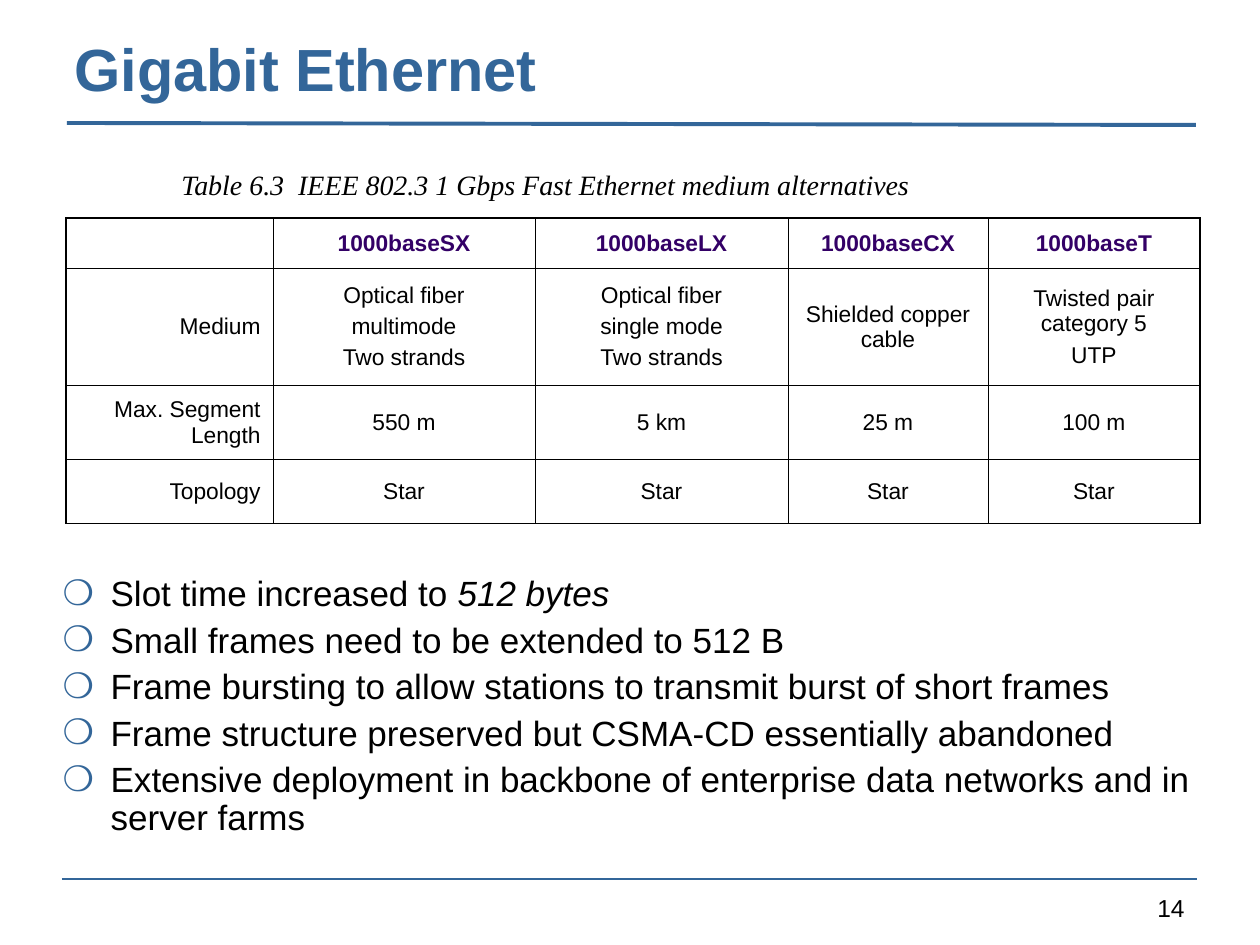
from dataclasses import dataclass

from lxml import etree
from pptx import Presentation
from pptx import util as u
from pptx.dml.color import RGBColor
from pptx.enum import shapes, text
from pptx.oxml import ns


@dataclass(frozen=True)
class Theme:
    sans: str = "Arial"
    serif: str = "Times New Roman"
    accent: str = "336699"
    heading: str = "330066"
    ink: str = "000000"
    title_size: int = 34
    body_size: int = 20
    caption_size: int = 16
    number_size: int = 14
    table_size: int = 13
    outer_border: float = 1.08
    inner_border: float = 0.45


THEME = Theme()
ALIGN = text.PP_ALIGN
ANCHOR = text.MSO_ANCHOR

COLUMNS = [207, 262, 253, 200, 212]
ROWS = [44, 117, 74, 64]
CELLS = [
    [[], ["1000baseSX"], ["1000baseLX"], ["1000baseCX"], ["1000baseT"]],
    [
        ["Medium"],
        ["Optical fiber", "multimode", "Two strands"],
        ["Optical fiber", "single mode", "Two strands"],
        ["Shielded copper cable"],
        ["Twisted pair category 5", "UTP"],
    ],
    [["Max. Segment Length"], ["550 m"], ["5 km"], ["25 m"], ["100 m"]],
    [["Topology"], ["Star"], ["Star"], ["Star"], ["Star"]],
]
FIBER_INDENTS = {1: -6, 2: -18}
BULLETS = [
    [("Slot time increased to ", False), ("512 bytes", True)],
    [("Small frames need to be extended to 512 B", False)],
    [("Frame bursting to allow stations to transmit burst of short frames", False)],
    [("Frame structure preserved but CSMA-CD essentially abandoned", False)],
    [("Extensive deployment in backbone of enterprise data networks and in server farms", False)],
]


def px(length):
    return u.Inches(length / 126)


def add_child(parent, tag, **attributes):
    return etree.SubElement(parent, ns.qn(tag), attributes)


def add_run(paragraph, words, size, color=THEME.ink, font=THEME.sans, bold=False, italic=False):
    run = paragraph.add_run()
    run.text = words
    run.font.name = font
    run.font.size = u.Pt(size)
    run.font.bold = bold
    run.font.italic = italic
    run.font.color.rgb = RGBColor.from_string(color)


def next_paragraph(frame, index):
    return frame.add_paragraph() if index else frame.paragraphs[0]


def place(shape, left, top, width, height):
    shape.left, shape.top = px(left), px(top)
    shape.width, shape.height = px(width), px(height)


def add_rule(slide, start, end, weight):
    line = slide.shapes.add_connector(
        shapes.MSO_CONNECTOR.STRAIGHT, *map(px, start), *map(px, end)
    )
    line.line.color.rgb = RGBColor.from_string(THEME.accent)
    line.line.width = u.Pt(weight)
    add_child(line._element.spPr, "a:effectLst")


def add_label(slide, box, words, size, align=ALIGN.LEFT, wrap=True, **style):
    frame = slide.shapes.add_textbox(*map(px, box)).text_frame
    frame.word_wrap = wrap
    paragraph = frame.paragraphs[0]
    paragraph.alignment = align
    add_run(paragraph, words, size, **style)
    return frame


def fill_title(slide):
    title = slide.shapes.title
    place(title, 62, 24, 1136, 86)
    frame = title.text_frame
    frame.auto_size = text.MSO_AUTO_SIZE.NONE
    frame.vertical_anchor = ANCHOR.BOTTOM
    paragraph = frame.paragraphs[0]
    paragraph.alignment = ALIGN.LEFT
    add_run(paragraph, "Gigabit Ethernet", THEME.title_size, THEME.accent, bold=True)


def fill_bullets(slide):
    body = slide.placeholders[1]
    place(body, 50, 570, 1174, 237)
    frame = body.text_frame
    frame.auto_size = text.MSO_AUTO_SIZE.NONE
    for index, runs in enumerate(BULLETS):
        paragraph = next_paragraph(frame, index)
        paragraph.line_spacing = 0.9
        paragraph.space_before = u.Pt(5)
        properties = paragraph._p.get_or_add_pPr()
        properties.set("marL", str(px(48)))
        properties.set("indent", str(px(-48)))
        add_child(add_child(properties, "a:buClr"), "a:srgbClr", val=THEME.accent)
        add_child(properties, "a:buChar", char="❍")
        for words, italic in runs:
            add_run(paragraph, words, THEME.body_size, italic=italic)


def set_borders(cell, outer_sides):
    properties = cell._tc.get_or_add_tcPr()
    for side in "LRTB":
        weight = THEME.outer_border if side in outer_sides else THEME.inner_border
        line = add_child(properties, f"a:ln{side}", w=str(u.Pt(weight)))
        add_child(add_child(line, "a:solidFill"), "a:srgbClr", val=THEME.ink)


def fill_cell(cell, lines, row, column):
    cell.vertical_anchor = ANCHOR.MIDDLE
    cell.margin_left = cell.margin_right = u.Inches(0.1)
    cell.margin_top = cell.margin_bottom = u.Inches(0.05)
    for index, words in enumerate(lines):
        paragraph = next_paragraph(cell.text_frame, index)
        paragraph.alignment = ALIGN.CENTER if column else ALIGN.RIGHT
        paragraph.space_before = u.Pt(3.3)
        if words == "Optical fiber":
            indent = px(FIBER_INDENTS[column])
            paragraph._p.get_or_add_pPr().set("indent", str(indent))
        color = THEME.ink if row else THEME.heading
        add_run(paragraph, words, THEME.table_size, color, bold=row == 0)


def add_medium_table(slide):
    box = (66, 218, sum(COLUMNS), sum(ROWS))
    table = slide.shapes.add_table(len(ROWS), len(COLUMNS), *map(px, box)).table
    table.first_row = table.horz_banding = False
    for column, width in zip(table.columns, COLUMNS):
        column.width = px(width)
    for row, height in zip(table.rows, ROWS):
        row.height = px(height)
    for row, contents in enumerate(CELLS):
        for column, lines in enumerate(contents):
            cell = table.cell(row, column)
            edges = {
                "L": column == 0,
                "R": column == len(COLUMNS) - 1,
                "T": row == 0,
                "B": row == len(ROWS) - 1,
            }
            set_borders(cell, [side for side, outer in edges.items() if outer])
            cell.fill.background()
            fill_cell(cell, lines, row, column)


def main():
    """Build the Gigabit Ethernet slide and save it."""
    presentation = Presentation()
    presentation.slide_width, presentation.slide_height = px(1260), px(945)
    slide = presentation.slides.add_slide(presentation.slide_layouts[1])
    add_rule(slide, (67, 123), (1196, 125), 2.25)
    add_rule(slide, (62, 879), (1197, 879), 1.5)
    add_label(slide, (903, 887, 294, 37), "14", THEME.number_size, ALIGN.RIGHT)
    fill_title(slide)
    caption = add_label(
        slide, (169, 161, 756, 47),
        "Table 6.3  IEEE 802.3 1 Gbps Fast Ethernet medium alternatives",
        THEME.caption_size, wrap=False, font=THEME.serif, italic=True,
    )
    caption.vertical_anchor = ANCHOR.MIDDLE
    add_medium_table(slide)
    fill_bullets(slide)
    presentation.save("out.pptx")


if __name__ == "__main__":
    main()
